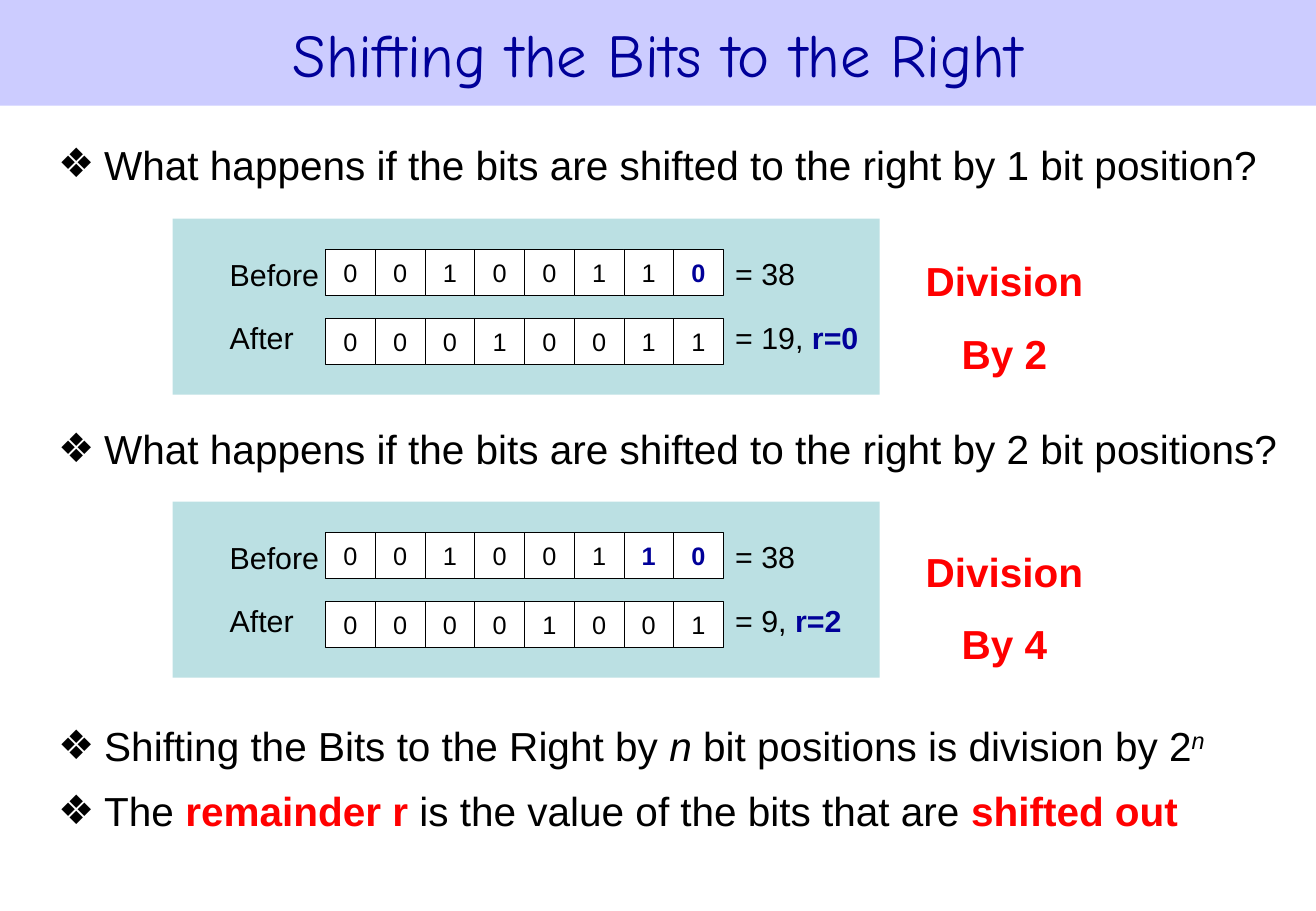
from dataclasses import dataclass

from lxml.etree import SubElement
from pptx import Presentation
from pptx.dml.color import RGBColor as Color
from pptx.enum.shapes import MSO_SHAPE as Shape
from pptx.enum.text import MSO_ANCHOR as Anchor, PP_ALIGN as Align
from pptx.oxml.ns import qn
from pptx.util import Inches, Pt


@dataclass(frozen=True)
class Theme:
    banner: str = "CCCCFF"
    panel: str = "BBE0E3"
    cell: str = "FFFFFF"
    ink: str = "000000"
    navy: str = "000099"
    red: str = "FF0000"
    title_font: str = "Comic Neue"
    body_font: str = "Arial"
    title_size: float = 36
    body_size: float = 24
    label_size: float = 18
    bit_size: float = 15
    paragraph_gap: float = 9.6
    cell_line: float = 0.38


@dataclass(frozen=True)
class Span:
    text: str
    color: str = Theme.ink
    bold: bool = False
    italic: bool = False
    raised: bool = False


class SlideBuilder:
    COLUMN = Inches(0.1)
    ROW = Inches(0.1)
    BITS = 8
    CELL_WIDTH = 4.09
    CELL_HEIGHT = 3.8

    def __init__(self, slide, theme):
        self.slide = slide
        self.theme = theme

    def place(self, column, row, columns, rows):
        return (round(column * self.COLUMN), round(row * self.ROW),
                round(columns * self.COLUMN), round(rows * self.ROW))

    def add_spans(self, paragraph, spans, size, font=None):
        for span in spans:
            run = paragraph.add_run()
            run.text = span.text
            run.font.name = font or self.theme.body_font
            run.font.size = Pt(size)
            run.font.bold = span.bold
            run.font.italic = span.italic
            run.font.color.rgb = Color.from_string(span.color)
            if span.raised:
                run._r.get_or_add_rPr().set("baseline", "30000")

    def rectangle(self, area, fill, line=None):
        shape = self.slide.shapes.add_shape(Shape.RECTANGLE, *self.place(*area))
        shape.shadow.inherit = False
        shape.fill.solid()
        shape.fill.fore_color.rgb = Color.from_string(fill)
        if line:
            shape.line.color.rgb = Color.from_string(line)
            shape.line.width = Pt(self.theme.cell_line)
        else:
            shape.line.fill.background()
        return shape

    def text_box(self, area, wrap=False):
        frame = self.slide.shapes.add_textbox(*self.place(*area)).text_frame
        frame.word_wrap = wrap
        return frame

    def title(self, text):
        frame = self.rectangle((0, 0, 108.3, 8.7), self.theme.banner).text_frame
        frame.vertical_anchor = Anchor.MIDDLE
        paragraph = frame.paragraphs[0]
        paragraph.alignment = Align.CENTER
        self.add_spans(paragraph, [Span(text, self.theme.navy)],
                       self.theme.title_size, self.theme.title_font)

    def bullets(self, row, rows, items):
        frame = self.text_box((3.8, row, 102.7, rows), wrap=True)
        for index, spans in enumerate(items):
            paragraph = frame.add_paragraph() if index else frame.paragraphs[0]
            if index:
                paragraph.space_before = Pt(self.theme.paragraph_gap)
            properties = paragraph._p.get_or_add_pPr()
            indent = Inches(0.38)
            properties.set("marL", str(indent))
            properties.set("indent", str(-indent))
            SubElement(properties, qn("a:buFont"), typeface=self.theme.body_font)
            SubElement(properties, qn("a:buChar"), char="❖")
            self.add_spans(paragraph, spans, self.theme.body_size)

    def label(self, column, row, columns, *spans):
        frame = self.text_box((column, row, columns, 3))
        frame.margin_left = frame.margin_right = 0
        frame.margin_top = frame.margin_bottom = 0
        self.add_spans(frame.paragraphs[0], spans, self.theme.label_size)

    def bit_row(self, row, value, accented=0):
        for index, bit in enumerate(f"{value:0{self.BITS}b}"):
            area = (26.8 + index * self.CELL_WIDTH, row, self.CELL_WIDTH, self.CELL_HEIGHT)
            frame = self.rectangle(area, self.theme.cell, self.theme.ink).text_frame
            frame.margin_left = frame.margin_right = 0
            frame.margin_top = frame.margin_bottom = 0
            frame.vertical_anchor = Anchor.MIDDLE
            paragraph = frame.paragraphs[0]
            paragraph.alignment = Align.CENTER
            accent = index >= self.BITS - accented
            color = self.theme.navy if accent else self.theme.ink
            self.add_spans(paragraph, [Span(bit, color, bold=accent)], self.theme.bit_size)

    def shift_panel(self, row, value, shift, result_columns):
        quotient, remainder = divmod(value, 2 ** shift)
        self.rectangle((14.2, row, 58.2, 14.5), self.theme.panel)
        self.bit_row(row + 2.55, value, shift)
        self.bit_row(row + 8.2, quotient)
        self.label(18.9, row + 3.1, 7.4, Span("Before"))
        self.label(60.5, row + 3, 5, Span(f"= {value}"))
        self.label(18.9, row + 8.3, 5.3, Span("After"))
        self.label(60.5, row + 8.3, result_columns, Span(f"= {quotient}, "),
                   Span(f"r={remainder}", self.theme.navy, bold=True))

    def callout(self, row, lines):
        frame = self.text_box((75.1, row, 15.1, 13.1))
        for index, line in enumerate(lines):
            paragraph = frame.add_paragraph() if index else frame.paragraphs[0]
            paragraph.alignment = Align.CENTER
            paragraph.line_spacing = 1.5
            self.add_spans(paragraph, [Span(line, self.theme.red, bold=True)],
                           self.theme.body_size)


def main():
    presentation = Presentation()
    presentation.slide_width = Inches(10.83)
    presentation.slide_height = Inches(7.5)
    theme = Theme()
    builder = SlideBuilder(presentation.slides.add_slide(presentation.slide_layouts[6]), theme)

    builder.title("Shifting the Bits to the Right")
    sections = [
        (11, 18, 18.6, 1, "1 bit position", 10.7),
        (34.4, 41.3, 42.5, 2, "2 bit positions", 9.4),
    ]
    for question_row, panel_row, callout_row, shift, distance, result_columns in sections:
        question = f"What happens if the bits are shifted to the right by {distance}?"
        builder.bullets(question_row, 5.7, [[Span(question)]])
        builder.shift_panel(panel_row, 38, shift, result_columns)
        builder.callout(callout_row, ["Division", f"By {2 ** shift}"])

    builder.bullets(58.9, 12.6, [
        [Span("Shifting the Bits to the Right by "), Span("n", italic=True),
         Span(" bit positions is division by 2"), Span("n", italic=True, raised=True)],
        [Span("The "), Span("remainder r ", theme.red, bold=True),
         Span("is the value of the bits that are "),
         Span("shifted out", theme.red, bold=True)],
    ])
    presentation.save("out.pptx")


if __name__ == "__main__":
    main()
